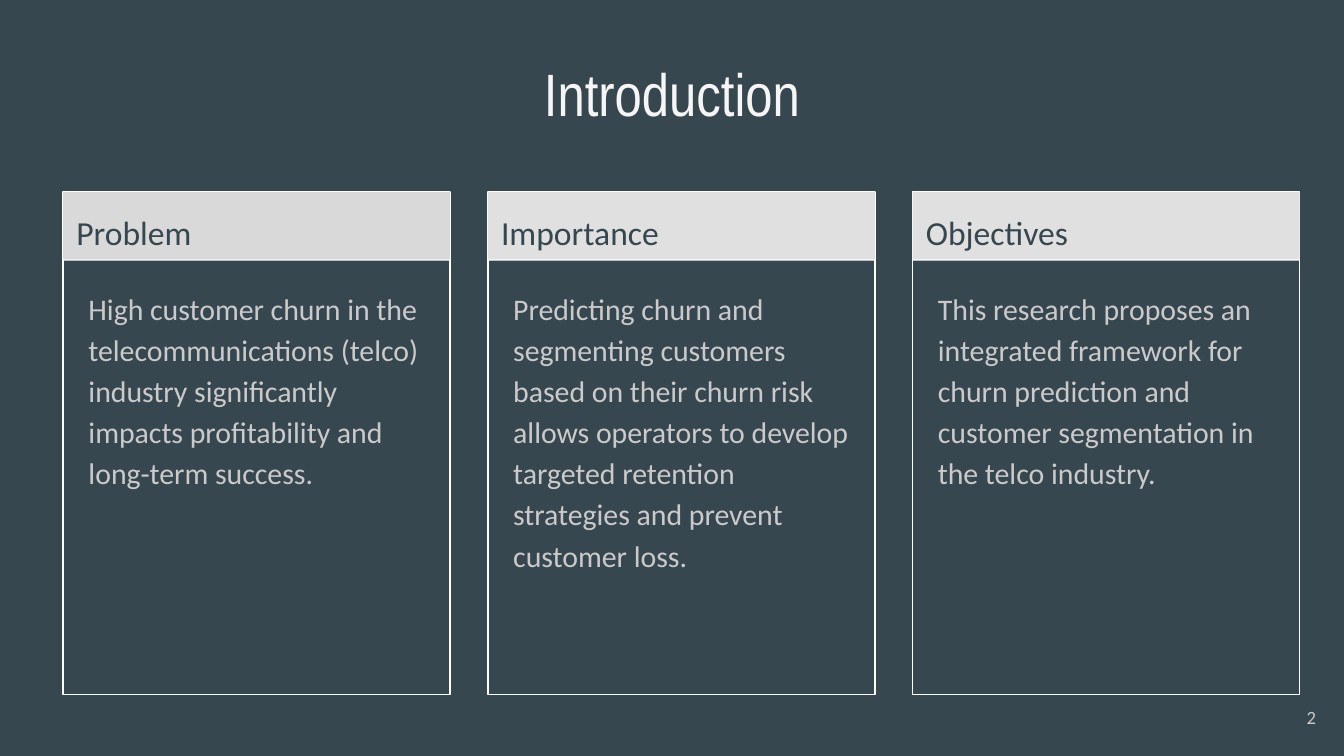
from dataclasses import dataclass

from pptx import Presentation
from pptx.dml.color import RGBColor
from pptx.enum.shapes import MSO_SHAPE
from pptx.enum.text import MSO_ANCHOR, PP_ALIGN
from pptx.shapes.autoshape import Shape
from pptx.slide import Slide
from pptx.util import Inches, Pt

COLORS = {
    "background": "37474F",
    "title": "F5F5F5",
    "body": "CACACA",
    "white": "FFFFFF",
    "first_header": "D9D9D9",
    "header": "E0E0E0",
}
PANEL_LEFT, PANEL_TOP, PANEL_PITCH = 0.47, 1.43, 3.16
PANEL_WIDTH, PANEL_HEIGHT = 2.88, 3.74


@dataclass
class Box:
    left: float
    top: float
    width: float
    height: float

    def lengths(self) -> list[int]:
        return [Inches(value) for value in (self.left, self.top, self.width, self.height)]


@dataclass
class TextStyle:
    size: int
    color: str
    font: str = "Calibri"
    align: PP_ALIGN = PP_ALIGN.LEFT
    anchor: MSO_ANCHOR = MSO_ANCHOR.TOP
    line_spacing: float = 1.0
    space_after: int = 0


@dataclass
class Panel:
    heading: str
    body: str
    header_fill: str = "header"


TITLE = TextStyle(32, "title", font="Arial Narrow", align=PP_ALIGN.CENTER)
HEADING = TextStyle(18, "background", line_spacing=1.15)
BODY = TextStyle(16, "body", line_spacing=1.15, space_after=16)
PAGE_NUMBER = TextStyle(10, "body", align=PP_ALIGN.RIGHT, anchor=MSO_ANCHOR.MIDDLE)

PANELS = [
    Panel(
        "Problem",
        "High customer churn in the telecommunications (telco) industry "
        "significantly impacts profitability and long-term success.",
        "first_header",
    ),
    Panel(
        "Importance",
        "Predicting churn and segmenting customers based on their churn risk allows "
        "operators to develop targeted retention strategies and prevent customer loss.",
    ),
    Panel(
        "Objectives",
        "This research proposes an integrated framework for churn prediction "
        "and customer segmentation in the telco industry.",
    ),
]


def color(name: str) -> RGBColor:
    return RGBColor.from_string(COLORS[name])


def write_text(shape: Shape, text: str, style: TextStyle) -> None:
    frame = shape.text_frame
    frame.word_wrap = True
    frame.vertical_anchor = style.anchor
    frame.margin_left = frame.margin_right = Inches(0.1)
    frame.margin_top = frame.margin_bottom = Inches(0.1)
    paragraph = frame.paragraphs[0]
    paragraph.text = text
    paragraph.alignment = style.align
    paragraph.line_spacing = style.line_spacing
    paragraph.space_after = Pt(style.space_after)
    paragraph.font.name = style.font
    paragraph.font.size = Pt(style.size)
    paragraph.font.color.rgb = color(style.color)


def add_text(slide: Slide, box: Box, text: str, style: TextStyle) -> None:
    write_text(slide.shapes.add_textbox(*box.lengths()), text, style)


def add_rectangle(slide: Slide, box: Box, fill: str = "", line: str = "") -> Shape:
    shape = slide.shapes.add_shape(MSO_SHAPE.RECTANGLE, *box.lengths())
    shape.shadow.inherit = False
    if fill:
        shape.fill.solid()
        shape.fill.fore_color.rgb = color(fill)
    else:
        shape.fill.background()
    if line:
        shape.line.color.rgb = color(line)
        shape.line.width = Pt(0.75)
    else:
        shape.line.fill.background()
    return shape


def add_panel(slide: Slide, panel: Panel, left: float) -> None:
    add_rectangle(slide, Box(left, PANEL_TOP, PANEL_WIDTH, 0.51), fill="white")
    add_rectangle(slide, Box(left, PANEL_TOP, PANEL_WIDTH, PANEL_HEIGHT), line="white")
    header = add_rectangle(slide, Box(left, PANEL_TOP, PANEL_WIDTH, 0.5), fill=panel.header_fill)
    write_text(header, panel.heading, HEADING)
    add_text(slide, Box(left + 0.09, 2.02, 2.71, 3.06), panel.body, BODY)


def main() -> None:
    presentation = Presentation()
    presentation.slide_width = Inches(10)
    presentation.slide_height = Inches(10 * 9 / 16)
    slide = presentation.slides.add_slide(presentation.slide_layouts[6])
    slide.background.fill.solid()
    slide.background.fill.fore_color.rgb = color("background")

    add_text(slide, Box(0.34, 0.32, 9.32, 0.63), "Introduction", TITLE)
    for index, panel in enumerate(PANELS):
        add_panel(slide, panel, PANEL_LEFT + index * PANEL_PITCH)
    add_text(slide, Box(9.29, 5.12, 0.6, 0.43), "2", PAGE_NUMBER)

    presentation.save("out.pptx")


if __name__ == "__main__":
    main()
